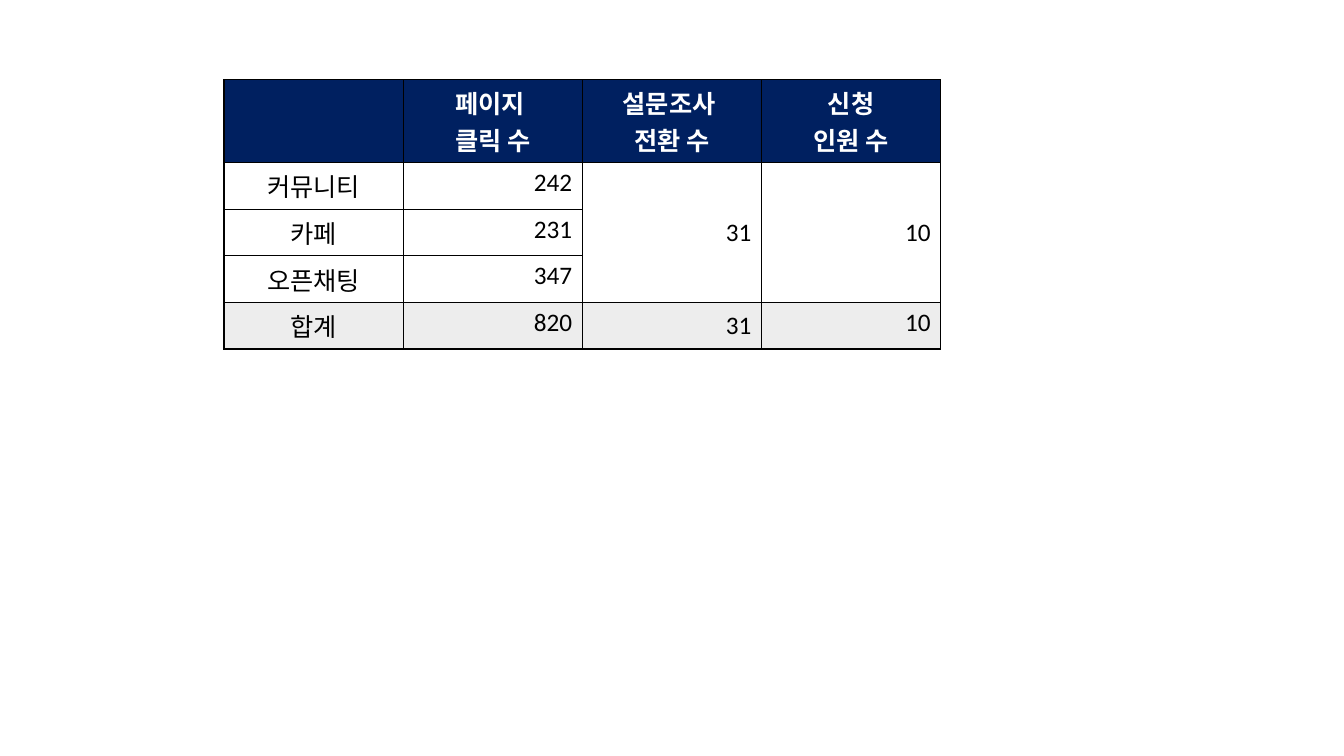
from dataclasses import dataclass

from lxml import etree
from pptx import Presentation
from pptx.dml.color import RGBColor
from pptx.enum.text import MSO_ANCHOR, PP_ALIGN
from pptx.oxml.ns import qn
from pptx.table import Table, _Cell
from pptx.util import Inches, Pt

CENTER, RIGHT = PP_ALIGN.CENTER, PP_ALIGN.RIGHT
TOP, MIDDLE = MSO_ANCHOR.TOP, MSO_ANCHOR.MIDDLE

COLORS = {"navy": "002060", "gray": "EDEDED", "white": "FFFFFF", "black": "000000"}
SLIDE_WIDTH, SLIDE_HEIGHT = Inches(13.33), Inches(7.5)
COLUMN_WIDTH = SLIDE_WIDTH * 2 // 15
ROW_HEIGHT = Inches(0.46)


@dataclass(frozen=True)
class Entry:
    text: str
    anchor: MSO_ANCHOR = TOP
    row_span: int = 1


@dataclass(frozen=True)
class Band:
    entries: tuple[Entry | None, ...]
    fill: str = "white"
    ink: str = "black"
    header: bool = False


BANDS = (
    Band((Entry(""), Entry("페이지 \n클릭 수"), Entry("설문조사 \n전환 수"),
          Entry("신청\n인원 수")), "navy", "white", True),
    Band((Entry("커뮤니티"), Entry("242"), Entry("31", MIDDLE, 3), Entry("10", MIDDLE, 3))),
    Band((Entry("카페"), Entry("231"), None, None)),
    Band((Entry("오픈채팅"), Entry("347"), None, None)),
    Band((Entry("합계"), Entry("820"), Entry("31", MIDDLE), Entry("10")), "gray"),
)


def color(name: str) -> RGBColor:
    return RGBColor.from_string(COLORS[name])


def outline(cell: _Cell) -> None:
    properties = cell._tc.get_or_add_tcPr()
    for position, side in enumerate(("lnL", "lnR", "lnT", "lnB")):
        border = etree.Element(qn(f"a:{side}"), w=str(Pt(1)))
        solid = etree.SubElement(border, qn("a:solidFill"))
        etree.SubElement(solid, qn("a:srgbClr"), val=COLORS["black"])
        properties.insert(position, border)


def write(cell: _Cell, entry: Entry, band: Band, alignment: PP_ALIGN) -> None:
    cell.text = entry.text
    cell.vertical_anchor = entry.anchor
    for paragraph in cell.text_frame.paragraphs:
        paragraph.alignment = alignment
        paragraph.font.name = "Calibri"
        paragraph.font.size = Pt(18)
        paragraph.font.bold = band.header
        paragraph.font.color.rgb = color(band.ink)


def fill_band(results: Table, row: int, band: Band) -> None:
    for column, entry in enumerate(band.entries):
        cell = results.cell(row, column)
        cell.fill.solid()
        cell.fill.fore_color.rgb = color(band.fill)
        outline(cell)
        if entry is None:
            continue
        write(cell, entry, band, CENTER if band.header or column == 0 else RIGHT)
        if entry.row_span > 1:
            cell.merge(results.cell(row + entry.row_span - 1, column))


presentation = Presentation()
presentation.slide_width, presentation.slide_height = SLIDE_WIDTH, SLIDE_HEIGHT
slide = presentation.slides.add_slide(presentation.slide_layouts[6])
row_count, column_count = len(BANDS), len(BANDS[0].entries)
results = slide.shapes.add_table(
    row_count, column_count, SLIDE_WIDTH // 6, Inches(0.79),
    COLUMN_WIDTH * column_count, ROW_HEIGHT * row_count,
).table
results.first_row = results.horz_banding = False
for row, band in enumerate(BANDS):
    fill_band(results, row, band)
presentation.save("out.pptx")
